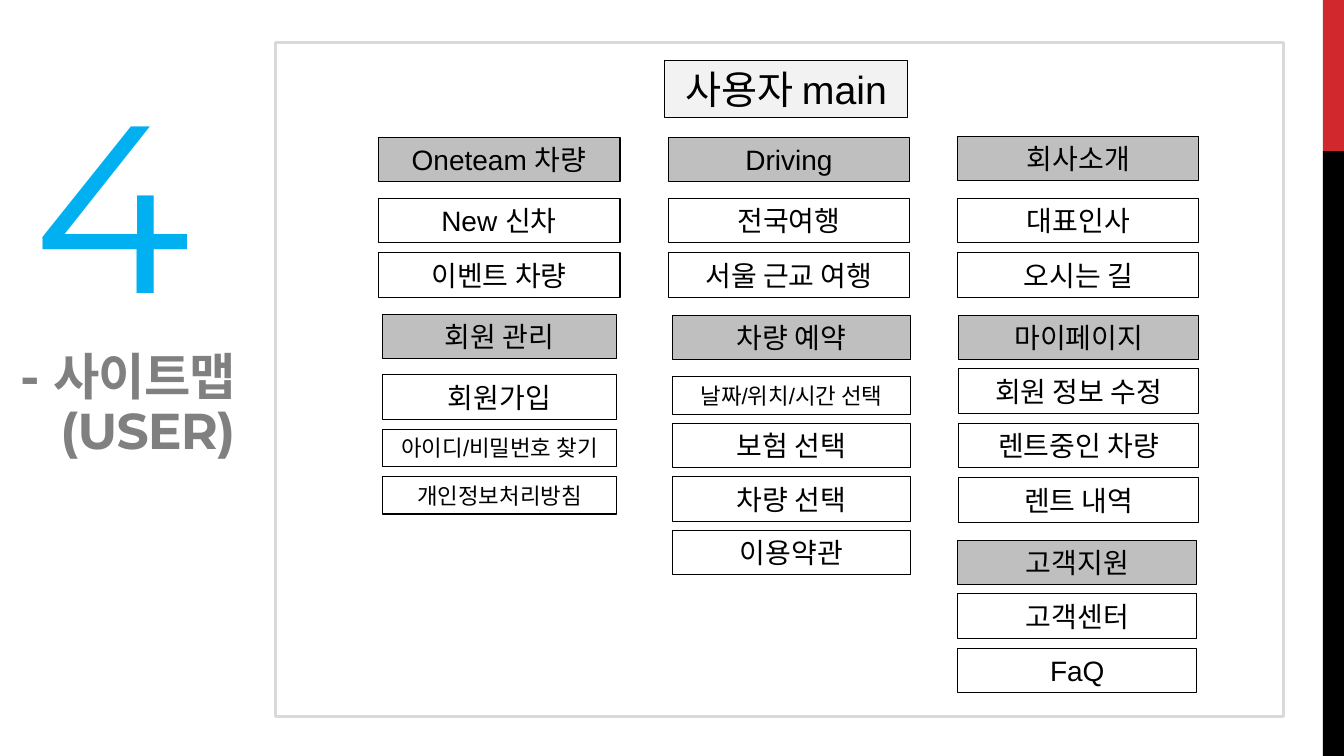
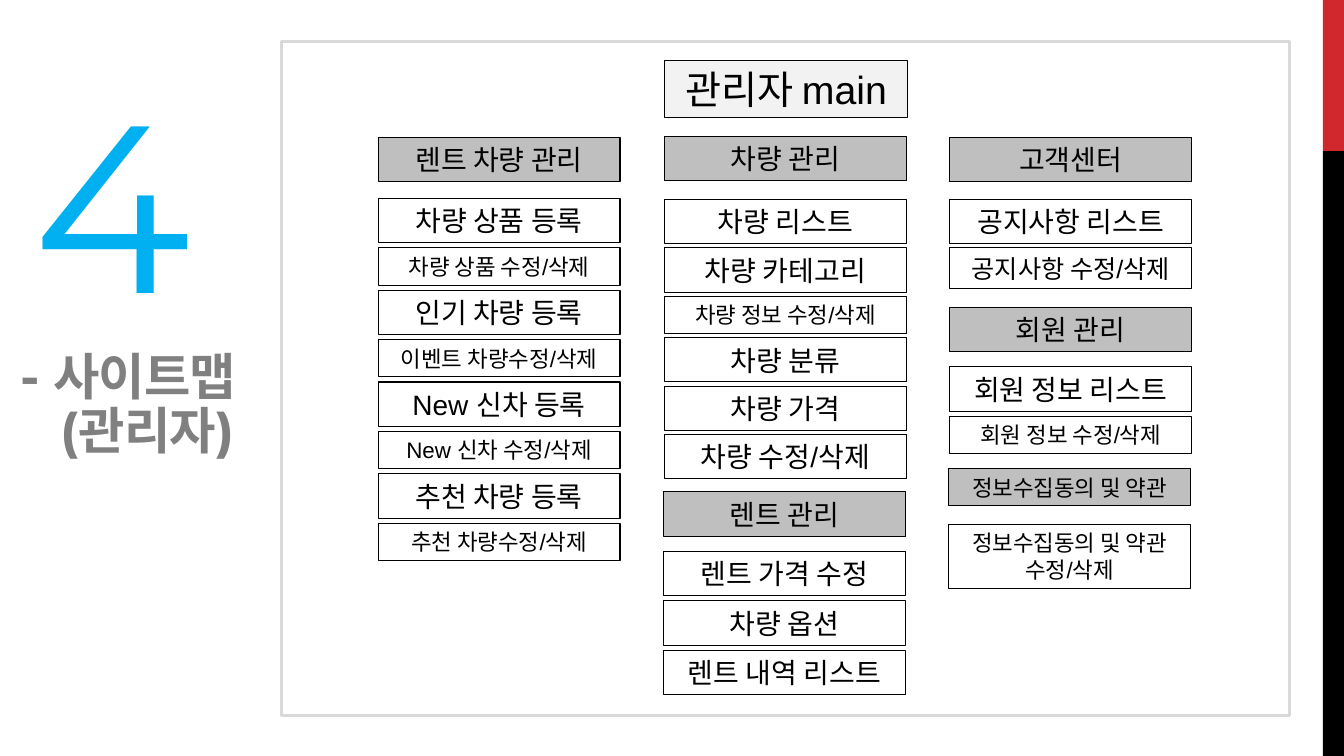
"""Build the user and administrator site map slides."""
from pptx import Presentation
from pptx import util as u
from pptx.dml.color import RGBColor
from pptx.enum import shapes, text as t

COLORS = {"red": "D1282E", "black": "000000", "white": "FFFFFF", "border": "D9D9D9",
          "main": "F2F2F2", "heading": "BFBFBF", "number": "00B0F0", "caption": "808080"}
HEIGHTS = {16: 0.37, 18: 0.4, 20: 0.44, 28: 0.57}
EXTRA_LINE = 0.27


def write(shape, text, size, font="Arial", color="black", bold=False, align=None,
          anchor=t.MSO_ANCHOR.MIDDLE, spacing=None, line_spacing=None, second_indent=0):
    frame = shape.text_frame
    frame.word_wrap = True
    frame.vertical_anchor = anchor
    for index, line in enumerate(text.split("\n")):
        paragraph = frame.add_paragraph() if index else frame.paragraphs[0]
        paragraph.alignment = align
        paragraph.line_spacing = line_spacing
        run = paragraph.add_run()
        run.text = line
        run.font.name, run.font.size, run.font.bold = font, u.Pt(size), bold
        run.font.color.rgb = RGBColor.from_string(COLORS[color])
    if spacing:
        for properties in shape.element.xpath(".//a:rPr"):
            properties.set("spc", str(spacing))
    if second_indent:
        shape.element.xpath(".//a:p[2]/a:pPr")[0].set("marL", str(u.Inches(second_indent)))


class SiteMap:
    def __init__(self):
        self.presentation = Presentation()
        self.presentation.slide_width = u.Inches(13.33)
        self.presentation.slide_height = u.Inches(7.5)
        self.layout = self.presentation.slide_layouts[5]
        self.slide = None

    def rectangle(self, left, top, width, height, fill=None, line=None, weight=0.75):
        shape = self.slide.shapes.add_shape(
            shapes.MSO_SHAPE.RECTANGLE, *map(u.Inches, (left, top, width, height)))
        shape.shadow.inherit = False
        if fill:
            shape.fill.solid()
            shape.fill.fore_color.rgb = RGBColor.from_string(COLORS[fill])
        else:
            shape.fill.background()
        if line:
            shape.line.color.rgb = RGBColor.from_string(COLORS[line])
            shape.line.width = u.Pt(weight)
        else:
            shape.line.fill.background()
        return shape

    def layout_bands(self):
        for number, (top, height, color) in enumerate([(0, 1.5, "red"), (1.5, 6, "black")]):
            band = self.rectangle(13.12, top, 0.21, height, color)
            band.element.xpath(".//p:cNvPr")[0].set("id", str(101 + number))
            self.layout.shapes.element.append(band.element)

    def title(self, text):
        title = self.slide.shapes.title
        title.left, title.top, title.width, title.height = map(u.Inches, (0.23, 0.68, 1.67, 2.79))
        write(title, text, 170, font="Montserrat", color="number", align=t.PP_ALIGN.LEFT,
              anchor=t.MSO_ANCHOR.BOTTOM, spacing=-50, line_spacing=0.9)
        title.text_frame.auto_size = t.MSO_AUTO_SIZE.NONE

    def caption(self, text):
        caption = self.slide.shapes.add_textbox(*map(u.Inches, (0.13, 4.2, 3.89, 0.41)))
        frame = caption.text_frame
        frame.margin_left = frame.margin_right = u.Inches(0.07)
        frame.margin_top = frame.margin_bottom = u.Inches(0.04)
        write(caption, text, 36, font="Montserrat", color="caption", bold=True,
              anchor=t.MSO_ANCHOR.BOTTOM, spacing=-60, line_spacing=0.9, second_indent=0.4)

    def box(self, left, top, width, text, size=20, fill=None):
        height = HEIGHTS[size] + EXTRA_LINE * text.count("\n")
        shape = self.rectangle(left, top, width, height, fill, "black")
        write(shape, text, size, align=t.PP_ALIGN.CENTER)
        shape.text_frame.auto_size = t.MSO_AUTO_SIZE.SHAPE_TO_FIT_TEXT
        return top + height

    def group(self, left, width, top, heading, first, gap, items, size=20):
        self.box(left, top, width, heading, size, "heading")
        for item in items:
            text, item_size = item if isinstance(item, tuple) else (item, 20)
            first = self.box(left, first, width, text, item_size) + gap

    def add(self, caption, main, frame_left, frame_top, groups):
        first_slide = self.slide is None
        self.slide = self.presentation.slides.add_slide(self.layout)
        if first_slide:
            self.layout_bands()
        self.rectangle(frame_left, frame_top, 10, 6.69, "white", "border", 2.25)
        self.title("4")
        self.caption(caption)
        self.box(6.59, 0.6, 2.41, main, 28, "main")
        for group in groups:
            self.group(*group)


USER_GROUPS = [
    (3.75, 2.4, 1.36, "Oneteam 차량", 1.97, 0.1, ["New 신차", "이벤트 차량"]),
    (3.79, 2.33, 3.12, "회원 관리", 3.72, 0.1,
     ["회원가입", ("아이디/비밀번호 찾기", 16), ("개인정보처리방침", 16)]),
    (6.63, 2.39, 1.36, "Driving", 1.97, 0.1, ["전국여행", "서울 근교 여행"]),
    (6.67, 2.36, 3.13, "차량 예약", 3.74, 0.09,
     [("날짜/위치/시간 선택", 16), "보험 선택", "차량 선택", "이용약관"]),
    (9.5, 2.39, 1.35, "회사소개", 1.97, 0.1, ["대표인사", "오시는 길"]),
    (9.51, 2.38, 3.13, "마이페이지", 3.66, 0.1, ["회원 정보 수정", "렌트중인 차량", "렌트 내역"]),
    (9.5, 2.37, 5.36, "고객지원", 5.89, 0.1, ["고객센터", "FaQ"]),
]
ADMIN_GROUPS = [
    (3.75, 2.4, 1.36, "렌트 차량 관리", 1.97, 0.05,
     ["차량 상품 등록", ("차량 상품 수정/삭제", 16), "인기 차량 등록", ("이벤트 차량수정/삭제", 16),
      "New 신차 등록", ("New 신차 수정/삭제", 16), "추천 차량 등록", ("추천 차량수정/삭제", 16)]),
    (6.59, 2.4, 1.35, "차량 관리", 1.98, 0.04,
     ["차량 리스트", "차량 카테고리", ("차량 정보 수정/삭제", 16), "차량 분류", "차량 가격",
      "차량 수정/삭제"]),
    (6.58, 2.4, 4.88, "렌트 관리", 5.47, 0.05, ["렌트 가격 수정", "차량 옵션", "렌트 내역 리스트"]),
    (9.42, 2.4, 1.36, "고객센터", 1.98, 0.04, ["공지사항 리스트", ("공지사항 수정/삭제", 18)]),
    (9.42, 2.4, 3.05, "회원 관리", 3.64, 0.05, ["회원 정보 리스트", ("회원 정보 수정/삭제", 16)]),
    (9.41, 2.4, 4.65, "정보수집동의 및 약관", 5.2, 0.05,
     [("정보수집동의 및 약관\n수정/삭제", 16)], 16),
]


def main():
    site_map = SiteMap()
    site_map.add("- 사이트맵\n(USER)", "사용자 main", 2.73, 0.42, USER_GROUPS)
    site_map.add("- 사이트맵\n(관리자)", "관리자 main", 2.79, 0.41, ADMIN_GROUPS)
    site_map.presentation.save("out.pptx")


if __name__ == "__main__":
    main()
